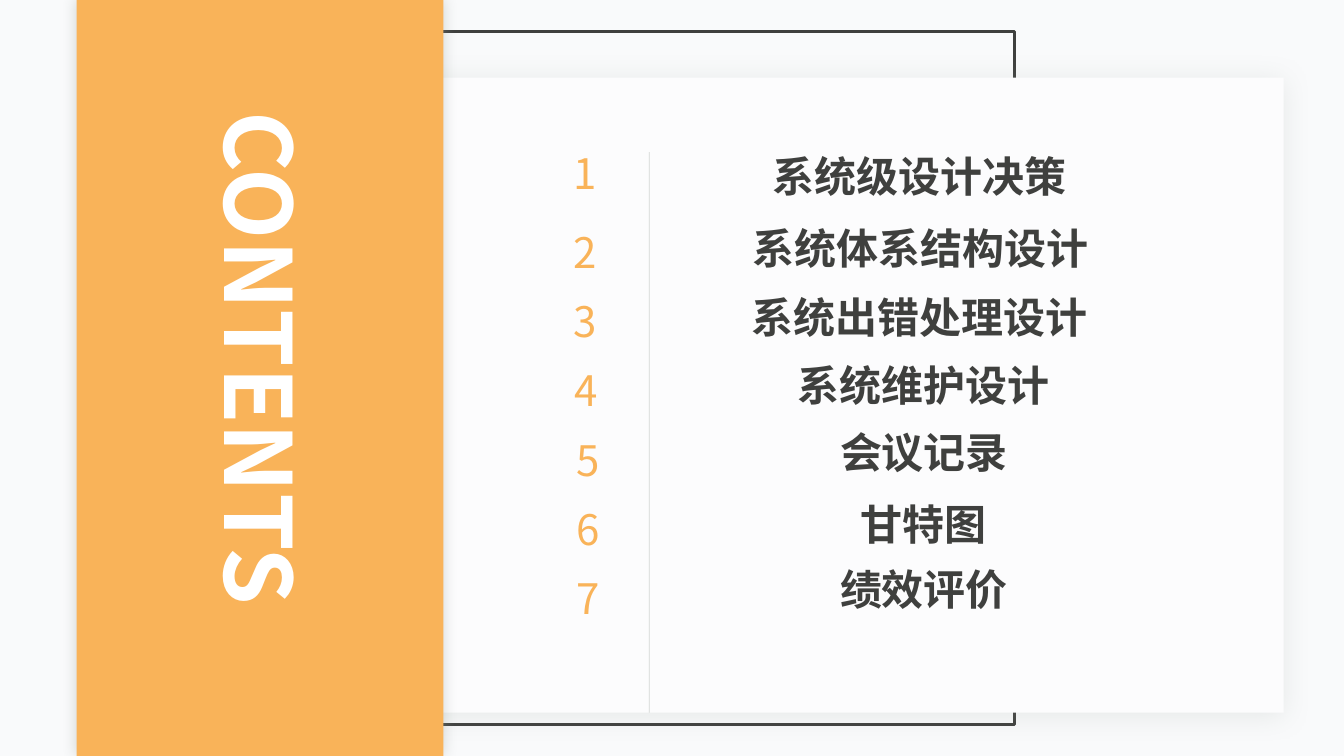
from dataclasses import dataclass
from typing import Optional

from lxml.etree import SubElement
from pptx import Presentation
from pptx.dml.color import RGBColor
from pptx.enum.shapes import MSO_CONNECTOR, MSO_SHAPE
from pptx.enum.text import MSO_ANCHOR, MSO_AUTO_SIZE, PP_ALIGN
from pptx.oxml.ns import qn
from pptx.util import Pt


@dataclass(frozen=True)
class Theme:
    font: str = "Noto Sans CJK SC"
    background: str = "F9FAFB"
    panel: str = "FCFCFD"
    accent: str = "F9B359"
    dark: str = "3F403E"
    grey: str = "969F98"
    white: str = "FFFFFF"
    title_size: int = 66
    item_size: int = 30


@dataclass(frozen=True)
class Box:
    left: float
    top: float
    width: float
    height: float


@dataclass(frozen=True)
class Shadow:
    opacity: int
    blur: float
    distance: float
    angle: int


@dataclass(frozen=True)
class Entry:
    text: str
    text_center: float
    text_top: float
    number_center: float


THEME = Theme()
INSET = 3.6
LINE_HEIGHT = 44
NUMBER_WIDTH = 22.4
FIRST_NUMBER_TOP, SECOND_NUMBER_TOP, NUMBER_STEP = 101.5, 158.4, 49.4

ENTRIES = [
    Entry("系统级设计决策", 657, 103.7, 417.2),
    Entry("系统体系结构设计", 657.7, 155.5, 417.2),
    Entry("系统出错处理设计", 657, 204.5, 417.2),
    Entry("系统维护设计", 660, 253.4, 418),
    Entry("会议记录", 660, 301, 419.4),
    Entry("甘特图", 660, 352.8, 419.4),
    Entry("绩效评价", 660, 398.9, 419.4),
]


def rgb(color: str) -> RGBColor:
    return RGBColor.from_string(color)


def place(sp, box: Box) -> None:
    sp.left, sp.top = Pt(box.left), Pt(box.top)
    sp.width, sp.height = Pt(box.width), Pt(box.height)


def set_alpha(color_element, percent: int) -> None:
    SubElement(color_element, qn("a:alpha"), val=str(percent * 1000))


def add_shadow(sp, shadow: Shadow) -> None:
    effects = sp._element.spPr.find(qn("a:effectLst"))
    outer = SubElement(
        effects, qn("a:outerShdw"), blurRad=str(Pt(shadow.blur)),
        dist=str(Pt(shadow.distance)), dir=str(shadow.angle * 60000),
        algn="ctr", rotWithShape="0")
    set_alpha(SubElement(outer, qn("a:srgbClr"), val=THEME.grey), shadow.opacity)


def add_rect(s, box: Box, fill: Optional[str] = None,
             line: Optional[str] = None, shadow: Optional[Shadow] = None):
    sp = s.shapes.add_shape(MSO_SHAPE.RECTANGLE, 0, 0, 0, 0)
    place(sp, box)
    sp.shadow.inherit = False
    if fill:
        sp.fill.solid()
        sp.fill.fore_color.rgb = rgb(fill)
    else:
        sp.fill.background()
    if line:
        sp.line.color.rgb = rgb(line)
        sp.line.width = Pt(2)
    else:
        sp.line.fill.background()
    if shadow:
        add_shadow(sp, shadow)
    return sp


def write_text(sp, text: str, size: int, color: str, bold: bool = False,
               align: PP_ALIGN = PP_ALIGN.CENTER, spacing: float = 0) -> None:
    tf = sp.text_frame
    tf.word_wrap = False
    tf.auto_size = MSO_AUTO_SIZE.SHAPE_TO_FIT_TEXT
    tf.vertical_anchor = MSO_ANCHOR.TOP
    tf.margin_left = tf.margin_right = Pt(INSET)
    tf.margin_top = tf.margin_bottom = Pt(INSET)
    p = tf.paragraphs[0]
    p.text = text
    p.alignment = align
    font = p.font
    font.name, font.size, font.bold = THEME.font, Pt(size), bold
    font.color.rgb = rgb(color)
    # East Asian typeface and letter spacing
    properties = p._p.pPr.find(qn("a:defRPr"))
    SubElement(properties, qn("a:ea"), typeface=THEME.font)
    if spacing:
        properties.set("spc", str(round(spacing * 100)))


def add_label(s, text: str, center: float, top: float, width: float,
              color: str, bold: bool = False, spacing: float = 0) -> None:
    sp = s.shapes.add_textbox(0, 0, 0, 0)
    place(sp, Box(center - width / 2, top, width, LINE_HEIGHT))
    write_text(sp, text, THEME.item_size, color, bold, spacing=spacing)


def add_divider(s, x: float, top: float, bottom: float) -> None:
    line = s.shapes.add_connector(
        MSO_CONNECTOR.STRAIGHT, Pt(x), Pt(top), Pt(x), Pt(bottom))
    line.line.width = Pt(0.5)
    line.line.color.rgb = rgb(THEME.grey)
    sp_pr = line._element.spPr
    set_alpha(next(sp_pr.iter(qn("a:srgbClr"))), 40)
    SubElement(sp_pr, qn("a:effectLst"))


def add_entry(s, index: int, entry: Entry) -> None:
    number_top = (SECOND_NUMBER_TOP + (index - 1) * NUMBER_STEP
                  if index else FIRST_NUMBER_TOP)
    add_label(s, str(index + 1), entry.number_center, number_top,
              NUMBER_WIDTH, THEME.accent, spacing=-3)
    width = len(entry.text) * THEME.item_size + 2 * INSET
    add_label(s, entry.text, entry.text_center, entry.text_top, width,
              THEME.dark, bold=True)


def add_title(s, text: str, box: Box) -> None:
    title = s.shapes.title
    place(title, box)
    title.rotation = 90
    write_text(title, text, THEME.title_size, THEME.white, True, PP_ALIGN.LEFT)
    # Bring the title in front of the band
    title._element.getparent().append(title._element)


prs = Presentation()
prs.slide_width, prs.slide_height = Pt(960), Pt(540)
s = prs.slides.add_slide(prs.slide_layouts[5])
s.background.fill.solid()
s.background.fill.fore_color.rgb = rgb(THEME.background)

# Frame and content panel
add_rect(s, Box(183, 22.4, 541.5, 495), line=THEME.dark)
add_rect(s, Box(181, 55.4, 736, 453.6), fill=THEME.panel,
         shadow=Shadow(20, 20, 3, 90))
add_divider(s, 463.7, 108.7, 509)

# Title band
add_rect(s, Box(54.8, 0, 262, 540), fill=THEME.accent,
         shadow=Shadow(40, 10, 0, 0))
add_title(s, "CONTENTS", Box(0.7, 218.9, 371.5, 86.4))

# Numbered contents
for index, entry in enumerate(ENTRIES):
    add_entry(s, index, entry)

prs.save("out.pptx")
